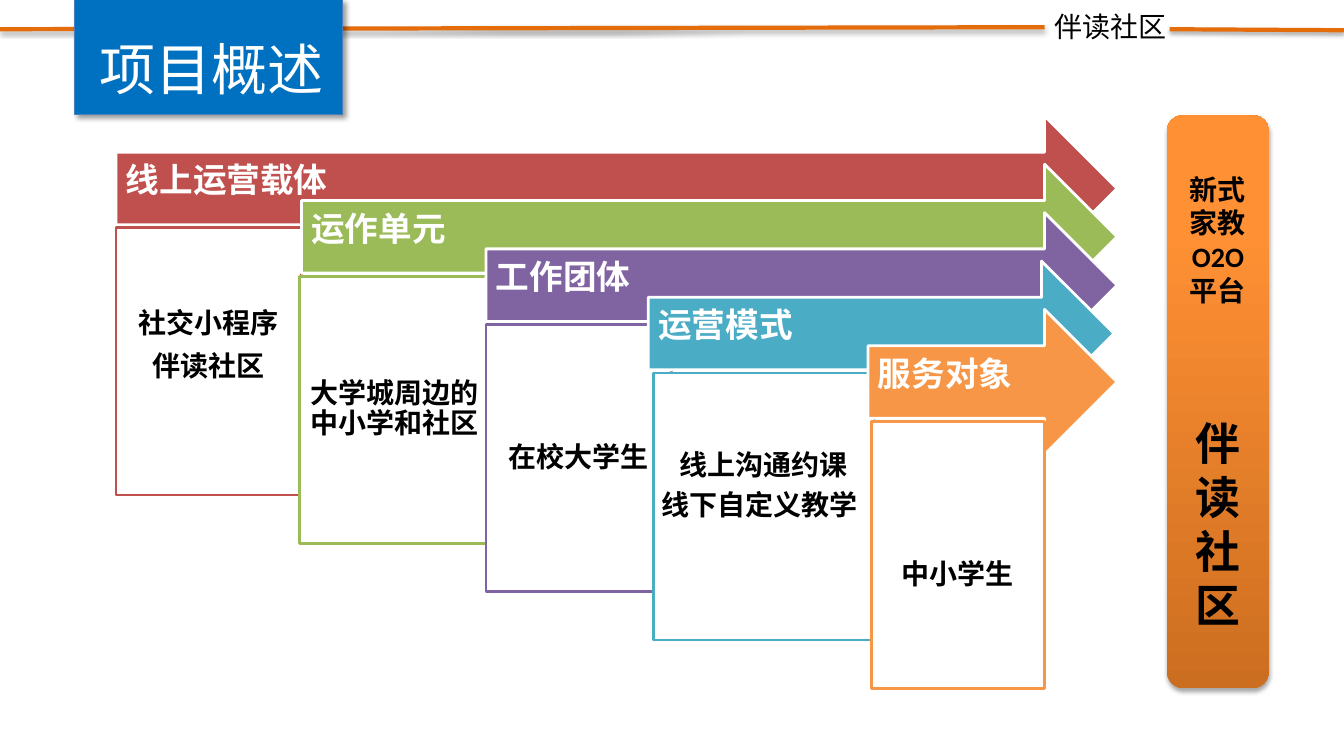
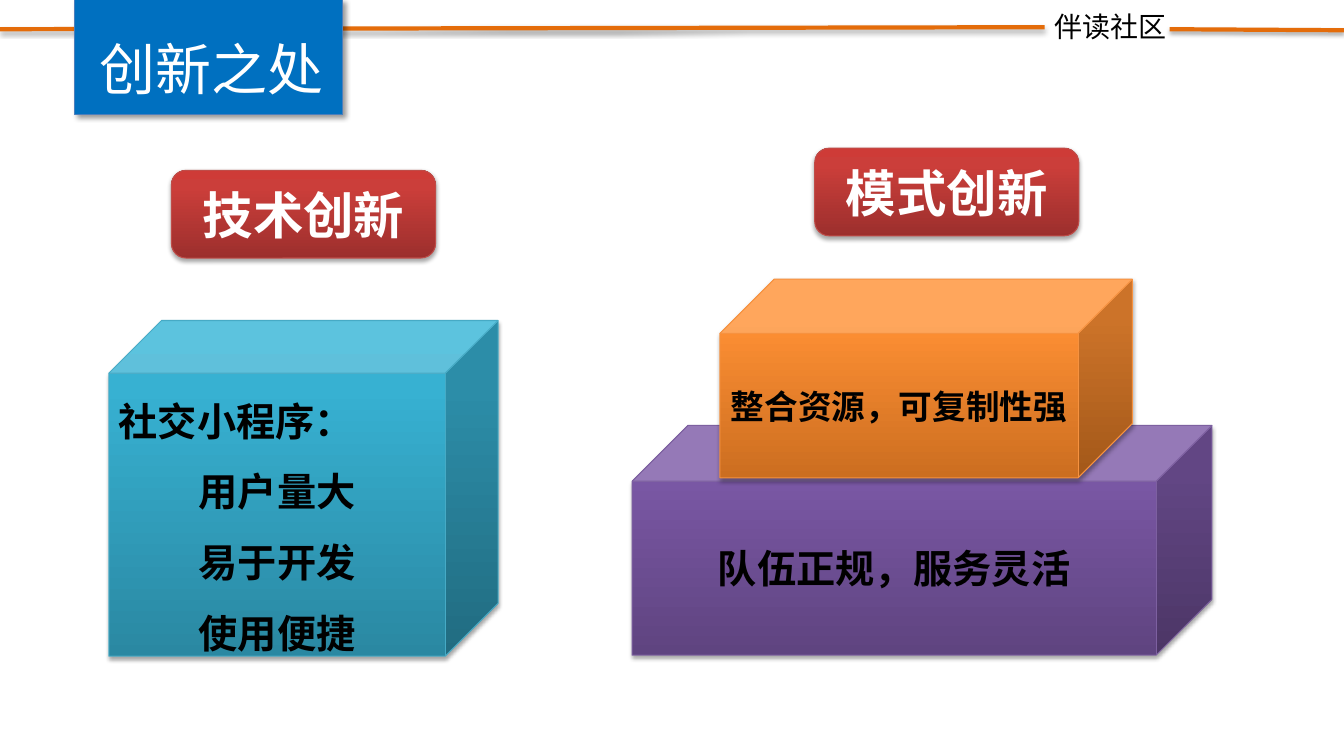
import pptx
import pptx.util
import pptx.dml.color
import pptx.enum.shapes
import pptx.enum.text
import pptx.oxml.ns
from copy import deepcopy
from lxml import etree

Inches, Pt = pptx.util.Inches, pptx.util.Pt
RGBColor = pptx.dml.color.RGBColor
Shape = pptx.enum.shapes.MSO_SHAPE
Align = pptx.enum.text.PP_ALIGN
Anchor = pptx.enum.text.MSO_ANCHOR
qn = pptx.oxml.ns.qn

# Colours, fonts and shadows
WHITE = RGBColor(0xFF, 0xFF, 0xFF)
BLACK = RGBColor(0x00, 0x00, 0x00)
RULE_ORANGE = RGBColor(0xE4, 0x6C, 0x0A)
TITLE_BLUE = RGBColor(0x00, 0x70, 0xC0)
TITLE_EDGE = RGBColor(0x4B, 0x7E, 0xBC)
RED = RGBColor(0xC0, 0x50, 0x4D)
GREEN = RGBColor(0x9B, 0xBB, 0x59)
PURPLE = RGBColor(0x80, 0x64, 0xA2)
TEAL = RGBColor(0x4B, 0xAC, 0xC6)
ORANGE = RGBColor(0xF7, 0x96, 0x46)
RED_EDGE = RGBColor(0xBF, 0x4C, 0x48)
TEAL_EDGE = RGBColor(0x46, 0xAA, 0xC5)
PURPLE_EDGE = RGBColor(0x7D, 0x60, 0xA0)
ORANGE_EDGE = RGBColor(0xF6, 0x92, 0x40)
# Each gradient runs from bottom to top
STOPS = (0, 0.8, 1)
RED_GRADIENT = [RGBColor(0x9C, 0x2F, 0x2D), RGBColor(0xCB, 0x3E, 0x3A), RGBColor(0xCE, 0x3B, 0x37)]
TEAL_GRADIENT = [RGBColor(0x2A, 0x88, 0xA2), RGBColor(0x37, 0xB1, 0xD2), RGBColor(0x34, 0xB4, 0xD6)]
PURPLE_GRADIENT = [RGBColor(0x5F, 0x44, 0x80), RGBColor(0x7B, 0x58, 0xA6), RGBColor(0x7C, 0x57, 0xA8)]
ORANGE_GRADIENT = [RGBColor(0xCC, 0x6E, 0x20), RGBColor(0xFF, 0x90, 0x34), RGBColor(0xFF, 0x91, 0x36)]
BODY_FONT, HEADER_FONT = "Calibri", "Noto Sans CJK SC"
# Opacity %, blur pt, distance pt, direction in degrees
SOFT_SHADOW = (35, 3.1, 1.8, 90)
TITLE_SHADOW = (40, 4, 3, 45)

# Content
BRAND = "伴读社区"
CARRIER = "社交小程序"
TITLES = ["项目概述", "创新之处"]
HEADER_RULES = [((0, 0.29), (10.36, 0.27)), ((11.6, 0.29), (13.33, 0.3))]

CENTER = {"alignment": Align.CENTER}
TIGHT = {"line_spacing": 0.9, "space_after": Pt(7)}
TIGHT_CENTER = {**CENTER, **TIGHT}
LOOSE = {"line_spacing": 1.5}
LOOSE_CENTER = {**CENTER, **LOOSE}

# Heading, colour, arrow left, arrow tip, box left, box width, (extra top, extra bottom), lines
STEPS = [
    ("线上运营载体", RED, 1.15, 11.08, 1.15, 1.84, (0, 0.31),
     [(CARRIER, TIGHT_CENTER), (BRAND, CENTER)]),
    ("运作单元", GREEN, 2.99, 11.08, 2.97, 1.88, (0, 0),
     [("大学城周边的中小学和社区", TIGHT_CENTER)]),
    ("工作团体", PURPLE, 4.82, 11.08, 4.82, 1.84, (0, 0),
     [("在校大学生", TIGHT_CENTER)]),
    ("运营模式", TEAL, 6.43, 11.05, 6.48, 2.19, (0, 0.4),
     [("线上沟通约课", TIGHT_CENTER), ("线下自定义教学", TIGHT)]),
    ("服务对象", ORANGE, 8.61, 11.08, 8.64, 1.72, (0.4, 0),
     [("中小学生", TIGHT_CENTER)]),
]
PLATFORM = [("新式家教", CENTER), ("O2O", CENTER), ("平台", CENTER),
            (BRAND, {**CENTER, "space_before": Pt(78)})]

# Text, left, top
BADGES = [("技术创新", 1.7, 1.69), ("模式创新", 8.08, 1.47)]
# Position and size, depth, gradient, edge, text size, lines
CUBES = [
    ((1.08, 3.18, 3.86, 3.33), 0.157, TEAL_GRADIENT, TEAL_EDGE, 28,
     [(CARRIER + "：", LOOSE), ("用户量大", LOOSE_CENTER),
      ("易于开发", LOOSE_CENTER), ("使用便捷", LOOSE_CENTER)]),
    ((6.27, 4.22, 5.75, 2.28), 0.243, PURPLE_GRADIENT, PURPLE_EDGE, 28,
     [("队伍正规，服务灵活", CENTER)]),
    ((7.14, 2.77, 4.09, 1.97), 0.273, ORANGE_GRADIENT, ORANGE_EDGE, 24,
     [("整合资源，可复制性强", CENTER)]),
]

# Arrow cascade geometry
STEP_DOWN, ARROW_TOP, BOX_TOP, BOX_HEIGHT = 0.48, 1.15, 2.26, 2.65
HEAD, BARB = 0.72, 0.36


def apply(target, values):
    for name, value in values.items():
        setattr(target, name, value)


def write(shape, lines, size, color, bold=True, font=BODY_FONT,
          anchor=Anchor.MIDDLE, insets=(0.1, 0.05, 0.1, 0.05)):
    frame = shape.text_frame
    left, top, right, bottom = map(Inches, insets)
    apply(frame, {"word_wrap": True, "vertical_anchor": anchor, "margin_left": left,
                  "margin_top": top, "margin_right": right, "margin_bottom": bottom})
    for index, (text, layout) in enumerate(lines):
        paragraph = frame.add_paragraph() if index else frame.paragraphs[0]
        apply(paragraph, {"alignment": Align.LEFT, **layout})
        run = paragraph.add_run()
        run.text = text
        apply(run.font, {"size": Pt(size), "bold": bold, "name": font})
        run.font.color.rgb = color
        properties = run.font._element
        properties.set("lang", "zh-CN")
        east_asian = etree.SubElement(properties, qn("a:ea"))
        east_asian.set("typeface", BODY_FONT)


def cast_shadow(shape, shadow):
    opacity, blur, distance, direction = shadow
    properties = shape._element.spPr
    effects = properties.find(qn("a:effectLst"))
    if effects is None:
        effects = etree.SubElement(properties, qn("a:effectLst"))
    outer = etree.SubElement(effects, qn("a:outerShdw"), {
        "blurRad": str(Pt(blur)), "dist": str(Pt(distance)),
        "dir": str(direction * 60000), "algn": "ctr", "rotWithShape": "0"})
    color = etree.SubElement(outer, qn("a:srgbClr"), {"val": "000000"})
    etree.SubElement(color, qn("a:alpha"), {"val": str(opacity * 1000)})


def paint(shape, fill, edge=None, width=0.75, shadow=None):
    if isinstance(fill, list):
        shape.fill.gradient()
        shape.fill.gradient_angle = 90
        stop_list = shape._element.spPr.find(qn("a:gradFill")).find(qn("a:gsLst"))
        stop_list.append(deepcopy(stop_list[-1]))
        for stop, position, color in zip(shape.fill.gradient_stops, STOPS, fill):
            stop.position = position
            stop.color.rgb = color
    else:
        shape.fill.solid()
        shape.fill.fore_color.rgb = fill
    if edge is None:
        shape.line.fill.background()
    else:
        shape.line.color.rgb = edge
        shape.line.width = Pt(width)
    shape.shadow.inherit = False
    if shadow:
        cast_shadow(shape, shadow)


def add_preset(slide, kind, place, fill, edge=None, shadow=SOFT_SHADOW):
    shape = slide.shapes.add_shape(kind, *map(Inches, place))
    paint(shape, fill, edge, shadow=shadow)
    return shape


def add_outline(slide, points, fill, edge):
    corners = [(Inches(x), Inches(y)) for x, y in points]
    builder = slide.shapes.build_freeform(*corners[0])
    builder.add_line_segments(corners[1:], close=True)
    shape = builder.convert_to_shape()
    paint(shape, fill, edge, width=2)
    return shape


def add_label(slide, place, text, size, color, layout):
    box = slide.shapes.add_textbox(*map(Inches, place))
    write(box, [(text, layout)], size, color, bold=False, font=HEADER_FONT, anchor=Anchor.TOP)
    box.text_frame.auto_size = pptx.enum.text.MSO_AUTO_SIZE.SHAPE_TO_FIT_TEXT


def add_rule(slide, start, end):
    rule = slide.shapes.add_connector(pptx.enum.shapes.MSO_CONNECTOR.STRAIGHT,
                                      *map(Inches, start + end))
    rule.line.color.rgb = RULE_ORANGE
    rule.line.width = Pt(3)
    cast_shadow(rule, SOFT_SHADOW)


def add_titled_slide(presentation, title):
    slide = presentation.slides.add_slide(presentation.slide_layouts[6])
    add_rule(slide, *HEADER_RULES[0])
    add_preset(slide, Shape.RECTANGLE, (0.74, 0, 2.66, 1.14), TITLE_BLUE, TITLE_EDGE, TITLE_SHADOW)
    add_label(slide, (0.84, 0.29, 2.51, 0.77), title, 40, WHITE, CENTER)
    add_label(slide, (10.36, 0.05, 1.35, 0.44), BRAND, 20, BLACK, {})
    add_rule(slide, *HEADER_RULES[1])
    return slide


def arrow_points(left, tip, top):
    neck, upper, lower = tip - HEAD, top + BARB, top + 2 * HEAD - BARB
    return [(left, upper), (neck, upper), (neck, top), (tip, top + HEAD),
            (neck, top + 2 * HEAD), (neck, lower), (left, lower)]


def box_points(left, top, width, height):
    right, bottom = left + width, top + height
    return [(left, top), (right, top), (right, bottom), (left, bottom)]


presentation = pptx.Presentation()
presentation.slide_width, presentation.slide_height = Inches(13.33), Inches(7.5)
overview, innovation = [add_titled_slide(presentation, title) for title in TITLES]

# Overview: cascade of arrows, each with its box
for index, (heading, color, left, tip, box_left, box_width, extra, lines) in enumerate(STEPS):
    drop = index * STEP_DOWN
    arrow = add_outline(overview, arrow_points(left, tip, ARROW_TOP + drop), color, WHITE)
    write(arrow, [(heading, TIGHT)], 24, WHITE, insets=(0.1, 0.46, 0.64, 0.59))
    box = add_outline(overview, box_points(box_left, BOX_TOP + drop, box_width, BOX_HEIGHT),
                      WHITE, color)
    write(box, lines, 20, BLACK, insets=(0.08, 0.08 + extra[0], 0.08, 0.08 + extra[1]))

# Overview: platform pillar
pillar = add_preset(overview, Shape.ROUNDED_RECTANGLE, (11.57, 1.14, 1.02, 5.69), ORANGE_GRADIENT)
write(pillar, PLATFORM, 20, BLACK)
pillar.text_frame.paragraphs[-1].runs[0].font.size = Pt(32)

# Innovation: badges and cubes
for text, left, top in BADGES:
    badge = add_preset(innovation, Shape.ROUNDED_RECTANGLE, (left, top, 2.62, 0.87),
                       RED_GRADIENT, RED_EDGE)
    write(badge, [(text, CENTER)], 36, WHITE)
for place, depth, gradient, edge, size, lines in CUBES:
    cube = add_preset(innovation, Shape.CUBE, place, gradient, edge)
    cube.adjustments[0] = depth
    write(cube, lines, size, BLACK)

presentation.save("out.pptx")
